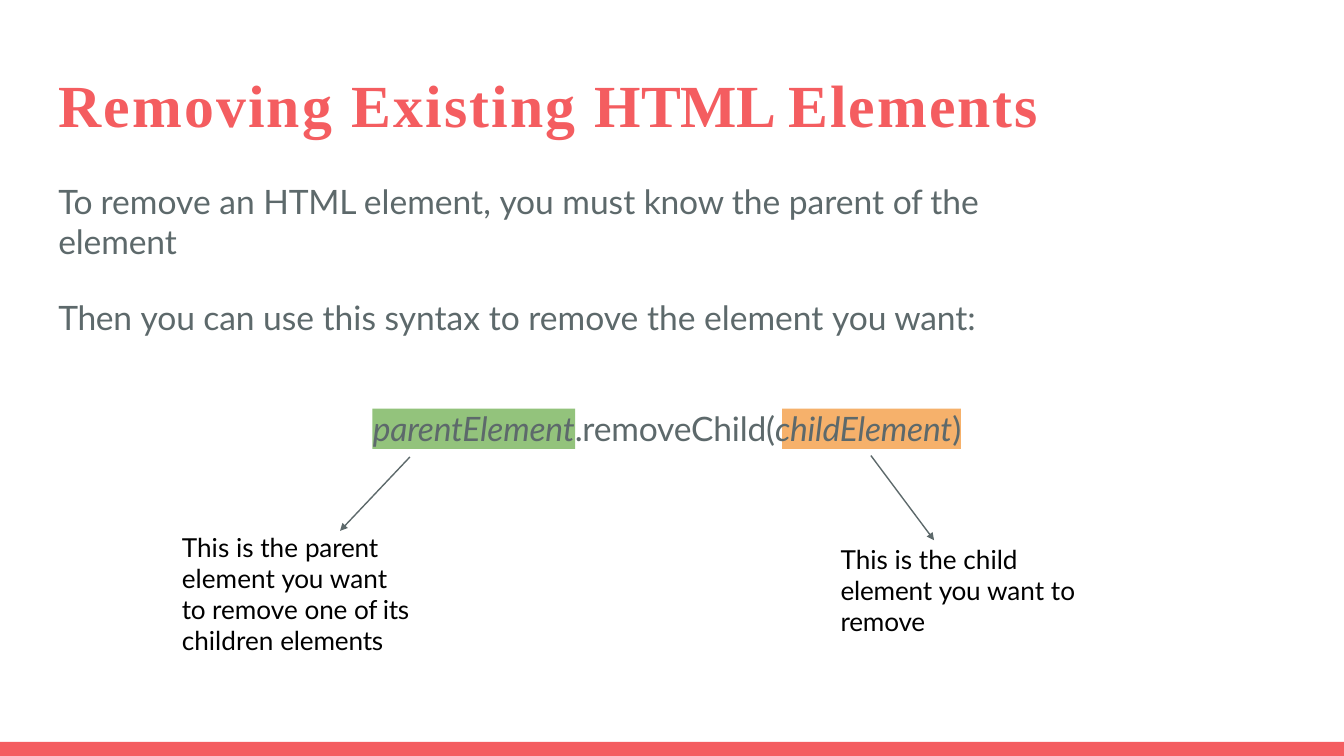
from lxml.etree import SubElement
from pptx import Presentation
from pptx.dml.color import RGBColor
from pptx.enum.shapes import MSO_CONNECTOR as Connector, MSO_SHAPE as Shape
from pptx.enum.text import MSO_AUTO_SIZE as AutoSize
from pptx.oxml.ns import qn
from pptx.util import Inches, Pt

CORAL, SLATE, BLACK = "F45D60", "5D696B", "000000"
GREEN, ORANGE = "93C37C", "F6B16B"


def color(hex_code):
    return RGBColor.from_string(hex_code)


class SlideBuilder:
    def __init__(self, slide):
        self.shapes = slide.shapes

    def block(self, left, top, width, height, fill):
        block = self.shapes.add_shape(Shape.RECTANGLE, *map(Inches, (left, top, width, height)))
        block.shadow.inherit = False
        block.fill.solid()
        block.fill.fore_color.rgb = color(fill)
        block.line.fill.background()

    def text(self, left, top, width, height, paragraphs, size, ink=SLATE, font="Lato",
             bold=False, inset=1, before=(1,), leading=None):
        """Each paragraph is a list of (text, letter spacing in points[, italic]) runs."""
        box = self.shapes.add_textbox(*map(Inches, (left, top, width, height)))
        frame = box.text_frame
        frame.word_wrap = True
        frame.auto_size = AutoSize.SHAPE_TO_FIT_TEXT
        frame.margin_left = frame.margin_right = frame.margin_bottom = 0
        frame.margin_top = Pt(inset)
        for index, (runs, gap) in enumerate(zip(paragraphs, before)):
            paragraph = frame.add_paragraph() if index else frame.paragraphs[0]
            paragraph.space_before = Pt(gap)
            if leading:
                paragraph.line_spacing = Pt(leading)
            paragraph._p.get_or_add_pPr().set("marL", str(Pt(1)))
            for words, spacing, *italic in runs:
                run = paragraph.add_run()
                run.text = words
                run.font.name, run.font.size = font, Pt(size)
                run.font.bold, run.font.italic = bold, any(italic)
                run.font.color.rgb = color(ink)
                run.font._element.set("spc", str(round(spacing * 100)))

    def note(self, left, top, width, height, runs):
        self.text(left, top, width, height, [runs], 14, BLACK,
                  inset=2.2, before=(1.8,), leading=16.5)

    def arrow(self, *ends):
        arrow = self.shapes.add_connector(Connector.STRAIGHT, *map(Inches, ends))
        arrow.line.color.rgb = color(SLATE)
        arrow.line.width = Pt(0.75)
        SubElement(arrow.line._get_or_add_ln(), qn("a:tailEnd"),
                   type="triangle", w="sm", len="sm")
        SubElement(arrow._element.spPr, qn("a:effectLst"))


def main():
    deck = Presentation()
    deck.slide_width = Inches(10)
    deck.slide_height = deck.slide_width * 9 // 16
    builder = SlideBuilder(deck.slides.add_slide(deck.slide_layouts[6]))

    builder.block(0, 5.52, 10, 0.11, CORAL)

    title = [("Removing ", 1.15), ("Existing ", 1.1), ("HTML ", -0.15), ("Elements", 1.1)]
    builder.text(0.42, 0.49, 7.33, 0.56, [title], 32, CORAL, "Times New Roman", bold=True)

    requirement = [("To ", -0.25), ("remove an ", 0), ("HTML ", -0.15), ("element, ", 0),
                   ("you ", -0.05), ("must ", 0), ("know ", -0.15), ("the parent ", 0),
                   ("of ", -0.25), ("the ", 0), ("element", -0.05)]
    usage = [("Then ", -0.15), ("you can ", -0.05), ("use this syntax ", 0), ("to ", -0.05),
             ("remove the element ", 0), ("you want:", -0.05)]
    builder.text(0.42, 1.33, 7.76, 0.89, [requirement, usage], 18, before=(1, 18.9))

    builder.block(2.77, 3.04, 1.51, 0.3, GREEN)
    builder.block(5.82, 3.04, 1.33, 0.3, ORANGE)
    syntax = [("parentElement", -0.1, True), (".removeChild(", -0.1),
              ("childElement", -0.1, True), (")", -0.1)]
    builder.text(2.76, 3.02, 4.48, 0.33, [syntax], 18)

    builder.arrow(3.05, 3.4, 2.53, 3.95)
    builder.note(1.34, 3.93, 1.73, 0.95, [
        ("This is the ", 0), ("parent ", -0.1), ("element ", 0), ("you ", -0.2),
        ("want ", 0), ("to ", -0.2), ("remove ", 0), ("one ", -0.1),
        ("of its ", -0.2), ("children ", 0), ("elements", -0.1)])

    builder.arrow(6.48, 3.39, 6.95, 4.02)
    builder.note(6.24, 4.02, 1.85, 0.49, [
        ("This is the child ", 0), ("element ", -0.1), ("you ", -0.2),
        ("want to ", 0), ("remove", -0.1)])

    deck.save("out.pptx")


if __name__ == "__main__":
    main()
